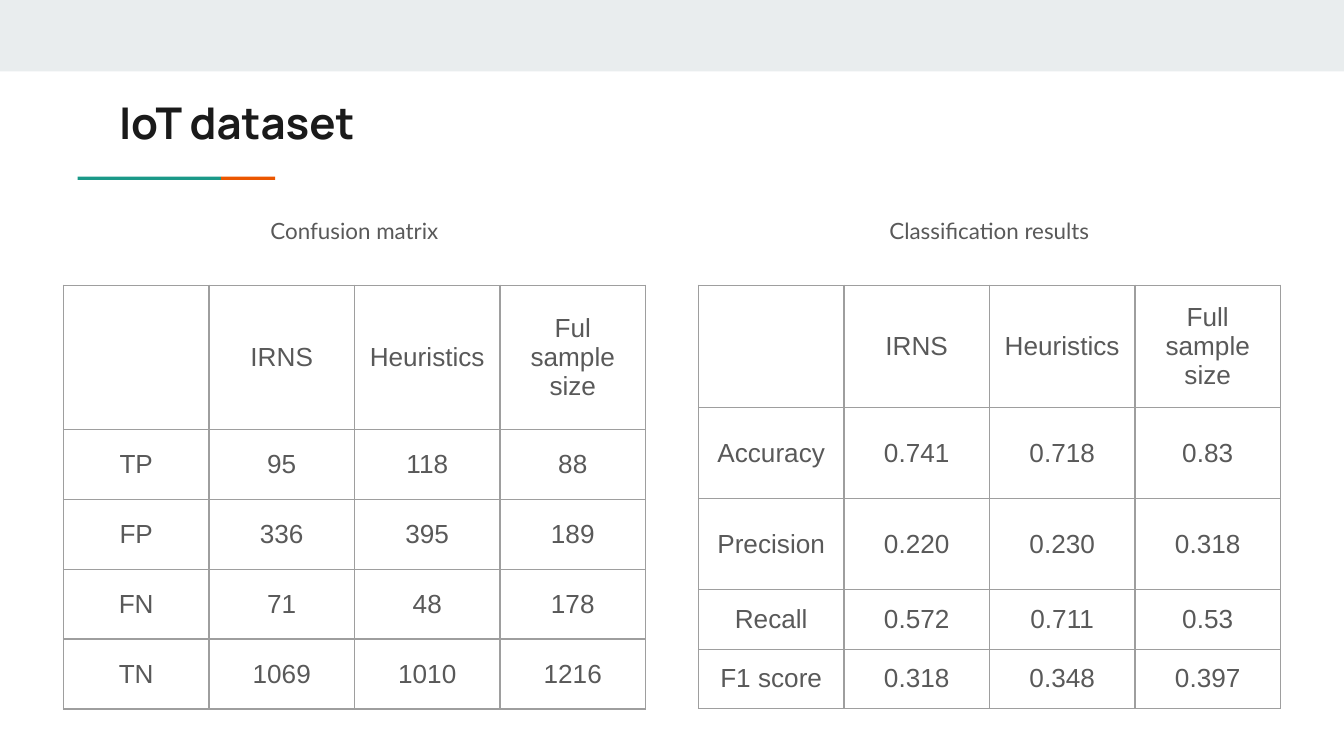
from lxml.etree import SubElement
from pptx import Presentation
from pptx.dml.color import RGBColor
from pptx.enum.shapes import MSO_SHAPE
from pptx.enum.text import MSO_ANCHOR, PP_ALIGN
from pptx.oxml.ns import qn
from pptx.util import Cm, Pt

GRAY = "595959"
INSET = Cm(0.25)


def color(value):
    return RGBColor.from_string(value)


def write(frame, text, font, size, ink=GRAY, align=PP_ALIGN.CENTER):
    """Fill the frame with one uniformly styled paragraph and return it."""
    paragraph = frame.paragraphs[0]
    paragraph.text = text
    paragraph.alignment = align
    paragraph.font.name = font
    paragraph.font.size = Pt(size)
    paragraph.font.color.rgb = color(ink)
    return paragraph


prs = Presentation()
prs.slide_width, prs.slide_height = Cm(25.4), Cm(14.29)
slide = prs.slides.add_slide(prs.slide_layouts[6])

# Top band and the two-colour rule under the title
for left, top, width, height, fill in [
    (0, 0, 25.4, 1.35, "E9EDEE"),
    (1.47, 3.34, 2.71, 0.06, "1A9988"),
    (4.18, 3.34, 1.02, 0.06, "EB5600"),
]:
    bar = slide.shapes.add_shape(
        MSO_SHAPE.RECTANGLE, Cm(left), Cm(top), Cm(width), Cm(height))
    bar.shadow.inherit = False
    bar.fill.solid()
    bar.fill.fore_color.rgb = color(fill)
    bar.line.fill.background()

title = slide.shapes.add_textbox(Cm(2), Cm(1.57), Cm(21.36), Cm(1.5)).text_frame
title.word_wrap = True
write(title, "IoT dataset", "Manrope", 23.4, "1A1A1A", PP_ALIGN.LEFT).font.bold = True

confusion = [
    ["", "IRNS", "Heuristics", "Ful sample size"],
    ["TP", "95", "118", "88"],
    ["FP", "336", "395", "189"],
    ["FN", "71", "48", "178"],
    ["TN", "1069", "1010", "1216"],
]
classification = [
    ["", "IRNS", "Heuristics", "Full sample size"],
    ["Accuracy", "0.741", "0.718", "0.83"],
    ["Precision", "0.220", "0.230", "0.318"],
    ["Recall", "0.572", "0.711", "0.53"],
    ["F1 score", "0.318", "0.348", "0.397"],
]
COLUMN = 2.75

for left, heading, rows, heights in [
    (1.2, "Confusion matrix", confusion, [2.73] + [1.32] * 4),
    (13.2, "Classification results", classification, [2.32, 1.72, 1.72, 1.12, 1.12]),
]:
    width = Cm(COLUMN * len(rows[0]))
    caption = slide.shapes.add_textbox(Cm(left), Cm(3.89), width, Cm(1)).text_frame
    caption.word_wrap = True
    caption.margin_top = caption.margin_bottom = INSET
    paragraph = write(caption, heading, "Lato", 12)
    paragraph.line_spacing = 0.95
    paragraph.space_after = Pt(12)

    table = slide.shapes.add_table(
        len(rows), len(rows[0]), Cm(left), Cm(5.39), width, Cm(sum(heights))).table
    table.first_row = table.horz_banding = False
    for column in table.columns:
        column.width = Cm(COLUMN)
    for r, (values, height) in enumerate(zip(rows, heights)):
        table.rows[r].height = Cm(height)
        for c, value in enumerate(values):
            cell = table.cell(r, c)
            cell.vertical_anchor = MSO_ANCHOR.MIDDLE
            cell.margin_left = cell.margin_right = INSET
            cell.margin_top = cell.margin_bottom = INSET
            write(cell.text_frame, value, "Arial", 14)
            properties = cell._tc.get_or_add_tcPr()
            for side in ("a:lnL", "a:lnR", "a:lnT", "a:lnB"):
                border = SubElement(properties, qn(side), w=str(Pt(0.75)))
                fill = SubElement(border, qn("a:solidFill"))
                SubElement(fill, qn("a:srgbClr"), val="9E9E9E")
            cell.fill.background()

# The title shares the inset of the captions and cells
title.margin_left = title.margin_right = INSET
title.margin_top = title.margin_bottom = INSET

prs.save("out.pptx")
